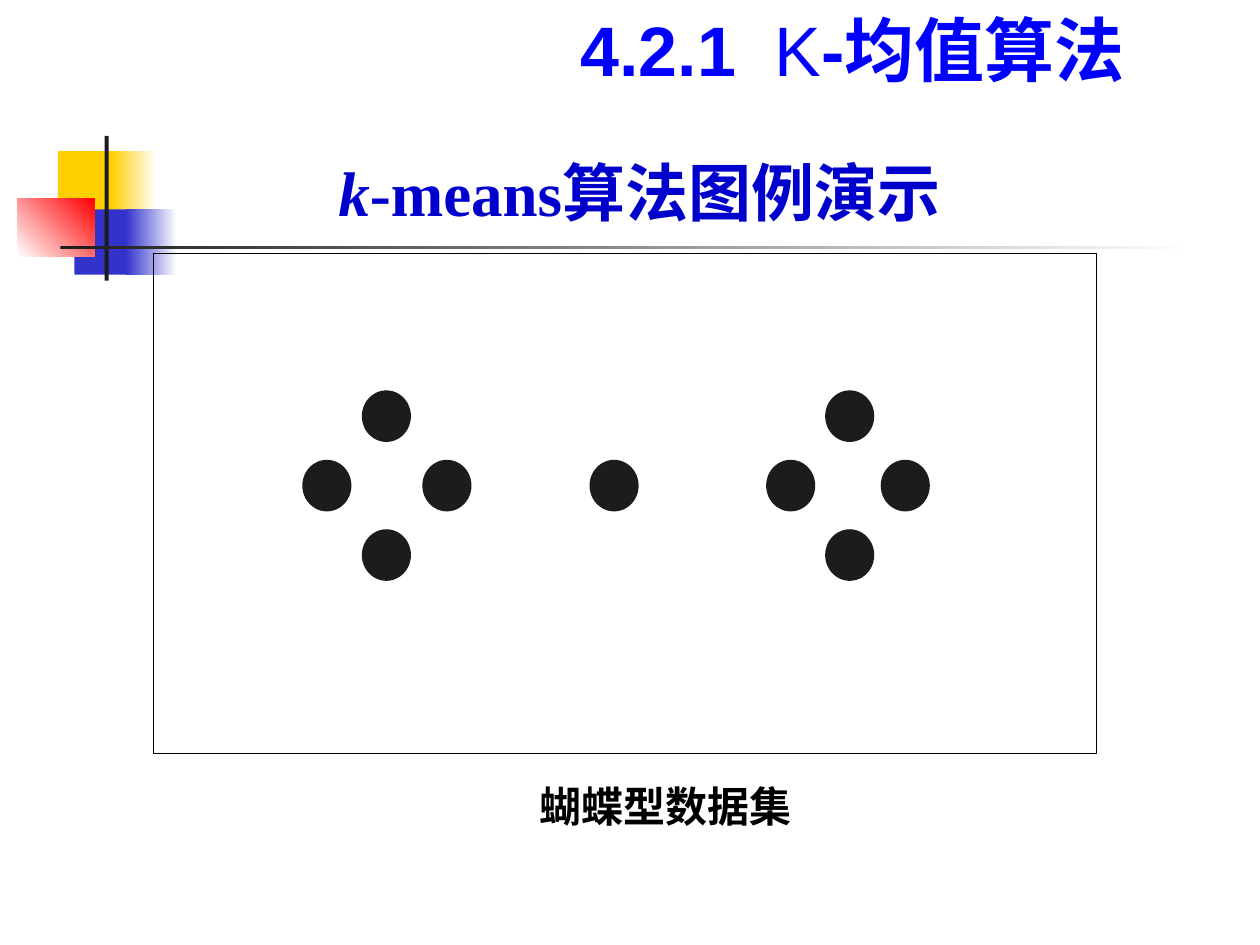
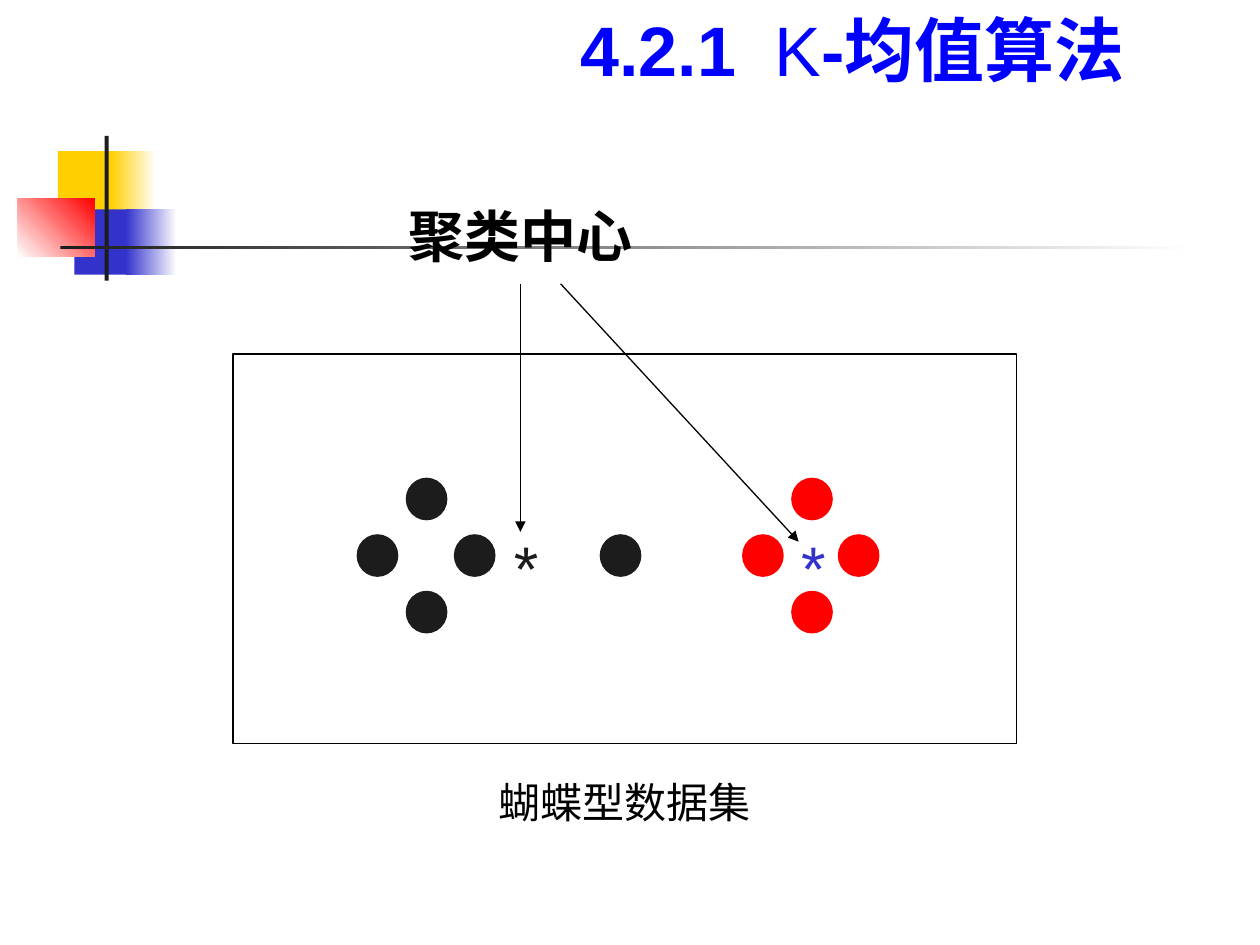
from lxml.etree import SubElement
from pptx import Presentation
from pptx.dml.color import RGBColor
from pptx.enum.shapes import MSO_CONNECTOR as Connector, MSO_SHAPE as Preset
from pptx.enum.text import MSO_AUTO_SIZE as AutoSize, PP_ALIGN as Align
from pptx.oxml.ns import qn
from pptx.util import Cm, Pt

COLORS = {
    "white": "FFFFFF", "black": "000000", "ink": "1C1C1C",
    "yellow": "FFCF01", "blue": "3333CC", "red": "FF0000",
    "title": "0000FF", "subtitle": "0000CC",
}

DECORATION = [
    ((1.17, 3.05, 1.22, 1.32), ["yellow"], 0),
    ((2.24, 3.05, 0.91, 1.32), ["yellow", "white"], 0),
    ((1.5, 4.22, 1.17, 1.32), ["blue"], 0),
    ((2.54, 4.22, 1.02, 1.32), ["blue", "white"], 0),
    ((0.36, 4.01, 1.55, 1.17), ["white", "red"], 45),
    ((2.11, 2.74, 0.08, 2.92), ["ink"], 0),
    ((1.22, 4.95, 22.86, 0.08), ["ink", "white"], 0),
]

TITLE = {
    "box": (8.97, 0, 16.43, 1.96), "color": "title", "size": 40,
    "runs": [("4.2.1", {"bold": True}), (" ", {"bold": True, "spacing": 11}),
             ("K", {"bold": False}), ("-均值算法", {"bold": True})],
}
CAPTION = "蝴蝶型数据集"

SLIDES = [
    {
        "frame": (3.1, 5.11, 19, 10.08),
        "dot": (0.99, 1.04), "axis": 9.79, "rise": 1.4, "middle": 12.38,
        "clusters": [(7.79, 1.2, 1.22, "ink"), (17.13, 1.19, 1.12, "ink")],
        "texts": [
            {"box": (9.09, 15.6, 8.66, 1.27), "color": "black", "size": 24,
             "runs": [(CAPTION, {"bold": True})]},
            {"box": (2.97, 2.97, 19.84, 1.7), "color": "subtitle", "size": 36,
             "font": "Times New Roman",
             "runs": [("k", {"bold": True, "italic": True}),
                      ("-means算法图例演示", {"bold": True})]},
        ],
        "arrows": [],
    },
    {
        "frame": (4.7, 7.14, 15.8, 7.85),
        "dot": (0.84, 0.86), "axis": 11.2, "rise": 1.14, "middle": 12.51,
        "clusters": [(8.6, 0.99, 0.97, "ink"), (16.37, 0.99, 0.94, "red")],
        "texts": [
            {"box": (9.5, 15.52, 6.2, 1.27), "color": "black", "size": 24,
             "runs": [(CAPTION, {})]},
            {"box": (15.9, 10.52, 3.2, 1.78), "color": "blue", "size": 36,
             "align": Align.LEFT, "runs": [("*", {})]},
            {"box": (10.11, 10.52, 3.2, 1.78), "color": "ink", "size": 36,
             "align": Align.LEFT, "runs": [("*", {})]},
            {"box": (7.49, 3.94, 6, 1.6), "color": "black", "size": 32,
             "runs": [("聚类中心", {"bold": True})]},
        ],
        "arrows": [(10.49, 5.72, 10.49, 10.72), (11.3, 5.72, 16.1, 10.92)],
    },
]


def rgb(name):
    return RGBColor.from_string(COLORS[name])


def lengths(values):
    return [Cm(value) for value in values]


def add_filled(slide, preset, box, fills, angle=0):
    shape = slide.shapes.add_shape(preset, *lengths(box))
    shape.shadow.inherit = False
    shape.line.fill.background()
    if len(fills) == 1:
        shape.fill.solid()
        shape.fill.fore_color.rgb = rgb(fills[0])
    else:
        shape.fill.gradient()
        shape.fill.gradient_angle = angle
        for stop, name in zip(shape.fill.gradient_stops, fills):
            stop.color.rgb = rgb(name)


def add_frame(slide, box):
    shape = slide.shapes.add_shape(Preset.RECTANGLE, *lengths(box))
    shape.shadow.inherit = False
    shape.fill.background()
    shape.line.color.rgb = rgb("black")
    shape.line.width = Pt(0.75)


def add_dots(slide, content):
    axis, rise = content["axis"], content["rise"]
    width, height = content["dot"]
    centers = [(content["middle"], axis, "ink")]
    for x, west, east, color in content["clusters"]:
        centers += [(x - west, axis, color), (x + east, axis, color),
                    (x, axis + rise, color), (x, axis - rise, color)]
    for x, y, color in centers:
        box = (x - width / 2, y - height / 2, width, height)
        add_filled(slide, Preset.OVAL, box, [color])


def add_text(slide, text):
    frame = slide.shapes.add_textbox(*lengths(text["box"])).text_frame
    frame.word_wrap = True
    frame.auto_size = AutoSize.NONE
    paragraph = frame.paragraphs[0]
    paragraph.alignment = text.get("align", Align.CENTER)
    for words, style in text["runs"]:
        run = paragraph.add_run()
        run.text = words
        run.font.color.rgb = rgb(text["color"])
        values = {"name": text.get("font", "Arial"), "size": Pt(text["size"]), **style}
        spacing = values.pop("spacing", None)
        for name, value in values.items():
            setattr(run.font, name, value)
        if spacing:
            run._r.get_or_add_rPr().set("spc", str(spacing * 100))


def add_arrow(slide, ends):
    arrow = slide.shapes.add_connector(Connector.STRAIGHT, *lengths(ends))
    arrow.line.color.rgb = rgb("black")
    arrow.line.width = Pt(0.75)
    SubElement(arrow.line._get_or_add_ln(), qn("a:tailEnd"), type="triangle")
    SubElement(arrow._element.spPr, qn("a:effectLst"))


def main():
    presentation = Presentation()
    presentation.slide_width, presentation.slide_height = Cm(25.4), Cm(19.05)
    for content in SLIDES:
        slide = presentation.slides.add_slide(presentation.slide_layouts[6])
        for box, fills, angle in DECORATION:
            add_filled(slide, Preset.RECTANGLE, box, fills, angle)
        add_frame(slide, content["frame"])
        add_dots(slide, content)
        for text in content["texts"]:
            add_text(slide, text)
        for ends in content["arrows"]:
            add_arrow(slide, ends)
        add_text(slide, TITLE)
    presentation.save("out.pptx")


if __name__ == "__main__":
    main()
